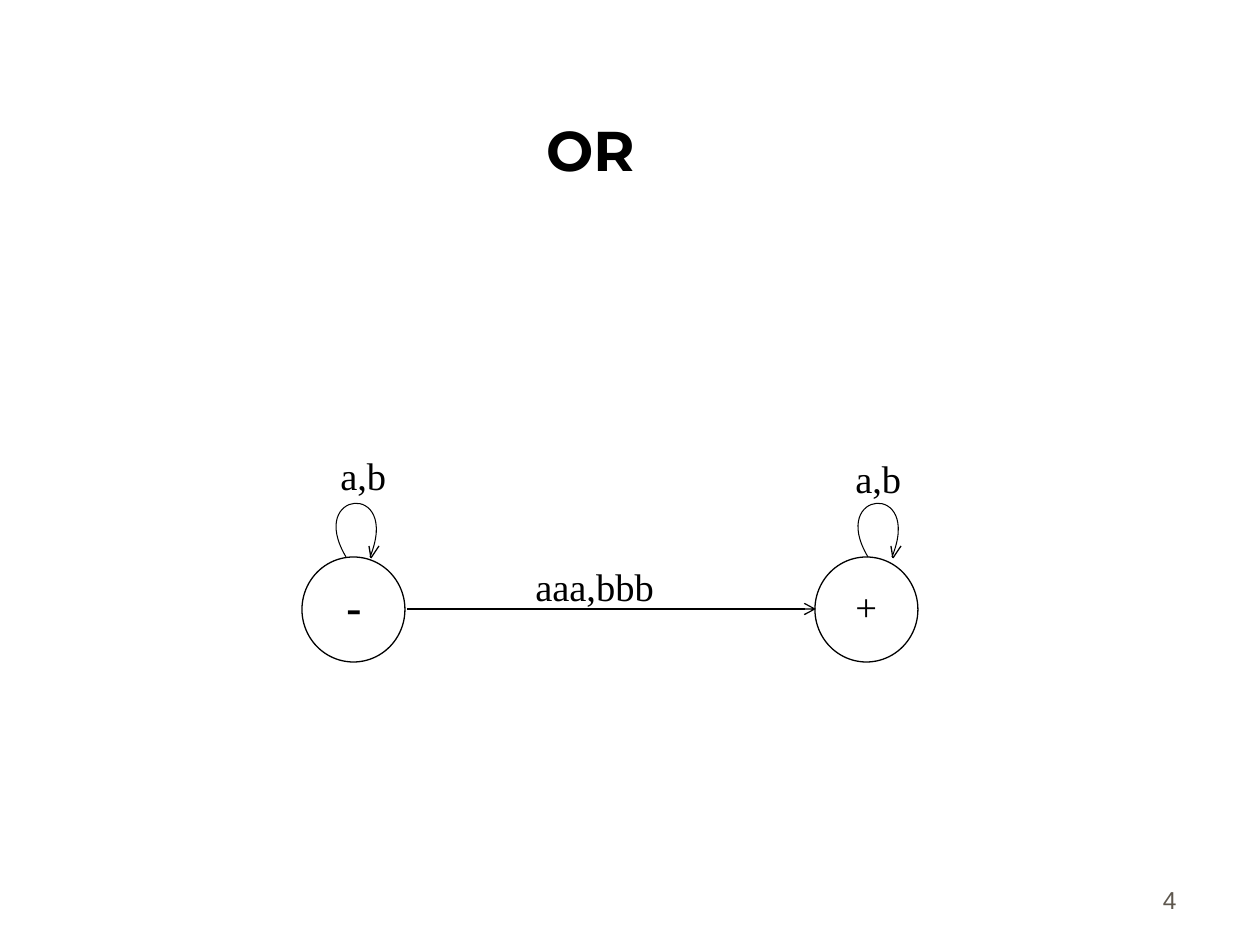
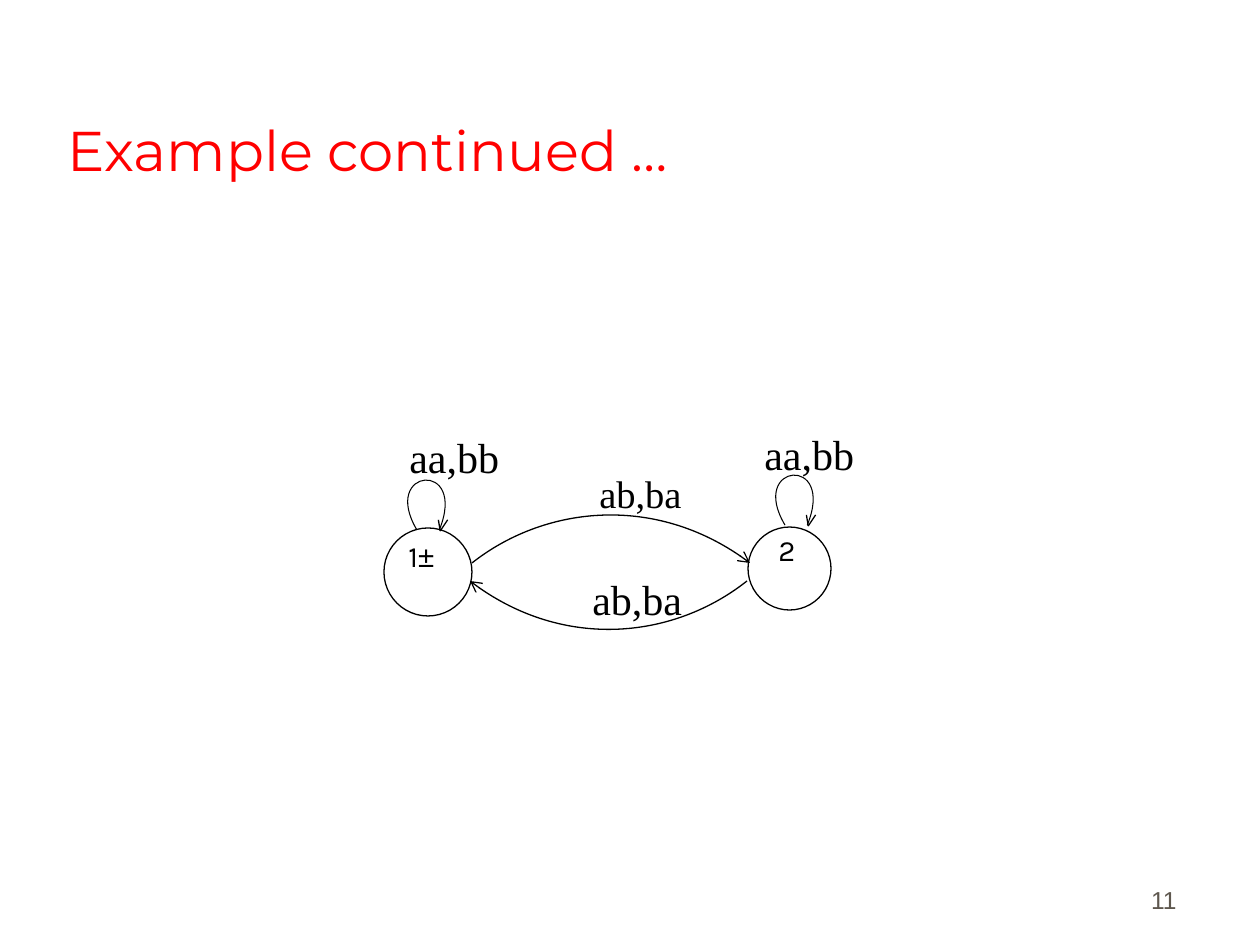
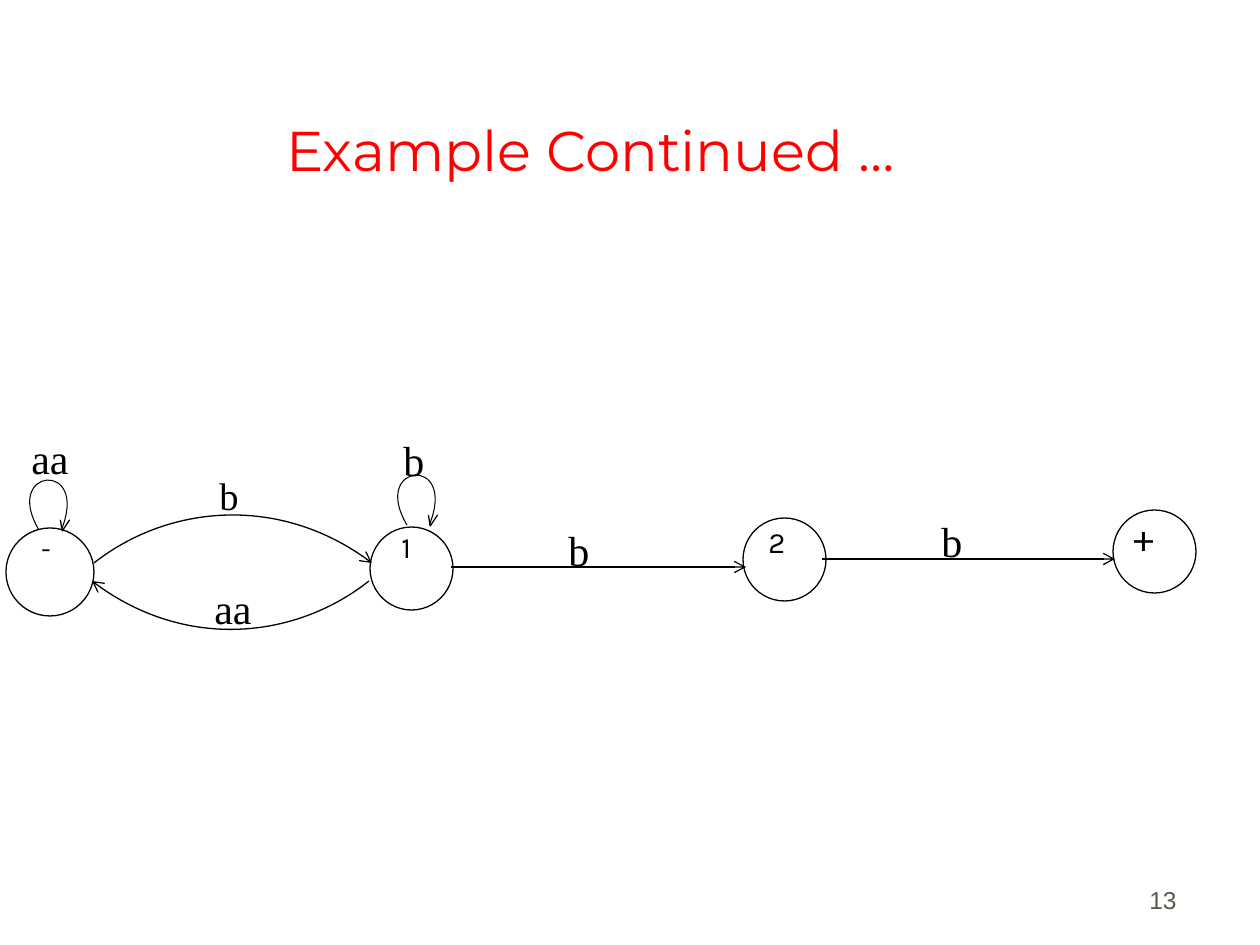
from lxml.etree import SubElement
from pptx import Presentation
from pptx.dml.color import RGBColor as Rgb
from pptx.enum.shapes import MSO_CONNECTOR as Link, MSO_SHAPE as Form
from pptx.enum.text import MSO_ANCHOR as Anchor, MSO_AUTO_SIZE as Fit, PP_ALIGN as Align
from pptx.oxml.ns import qn
from pptx.util import Emu, Pt

SCALE = 914400 / 126
COLORS = {"ink": "000000", "paper": "FFFFFF", "title": "FF0000", "page": "5E574E"}
SERIF, SANS, HEAD, PLAIN = "Times New Roman", "Karla", "Montserrat", "Arial"


def px(*sizes):
    return [Emu(round(size * SCALE)) for size in sizes]


def color(name):
    return Rgb.from_string(COLORS[name])


def add_run(para, text, size, font, tint="ink", bold=False):
    run = para.add_run()
    run.text = text
    run.font.size = Pt(size)
    run.font.name = font
    run.font.bold = bold
    run.font.color.rgb = color(tint)


def add_box(slide, x, y, wide, high):
    frame = slide.shapes.add_textbox(*px(x, y, wide, high)).text_frame
    frame.word_wrap = True
    return frame


def add_label(slide, text, x, y, size=24, wide=137, high=66, bold=False):
    """Text beside an edge or a loop."""
    para = add_box(slide, x, y, wide, high).paragraphs[0]
    add_run(para, text, size, SERIF, bold=bold)


def add_name(slide, runs, x, y, size=16.8, wide=52, high=50, space=0.8):
    """Name of a state, as pairs of text and font."""
    para = add_box(slide, x, y, wide, high).paragraphs[0]
    para.line_spacing = space
    for text, font in runs:
        add_run(para, text, size, font)


def set_line(shape, width=0.75, arrow=False):
    shape.line.color.rgb = color("ink")
    shape.line.width = Pt(width)
    if arrow:
        line = next(shape._element.iter(qn("a:ln")))
        SubElement(line, qn("a:tailEnd"), type="arrow")


def add_state(slide, x, y, wide, high=None):
    state = slide.shapes.add_shape(Form.OVAL, *px(x, y, wide, high or wide))
    state.shadow.inherit = False
    state.fill.solid()
    state.fill.fore_color.rgb = color("paper")
    set_line(state)


def add_edge(slide, x, y, end):
    """Level arrow from x to end."""
    edge = slide.shapes.add_connector(Link.STRAIGHT, *px(x, y, end, y))
    SubElement(edge._element.spPr, qn("a:effectLst"))
    set_line(edge, arrow=True)


def trace(shapes, points, width=0.75, arrow=False):
    """Open outline: two points make a line, four a Bezier curve."""
    start, *rest = [px(*point) for point in points]
    pen = shapes.build_freeform(*start)
    pen.add_line_segments(rest, close=False)
    shape = pen.convert_to_shape()
    shape.shadow.inherit = False
    shape.fill.background()
    set_line(shape, width, arrow)
    if len(rest) == 3:
        steps = list(shape._element.iter(qn("a:lnTo")))
        home = steps[0].getparent()
        curve = SubElement(home, qn("a:cubicBezTo"))
        for step in steps:
            curve.append(step[0])
            home.remove(step)


def add_loop(slide, x, y, size=0.93):
    shapes = slide.shapes.add_group_shape().shapes
    bend = [(0, 0), (-40, -67), (55, -76), (24, 0)]
    trace(shapes, [(x + dx * size, y + dy * size) for dx, dy in bend], 0.6)
    tip = (x + 25 * size, y + 1)
    for dx in (8, -2):
        trace(shapes, [tip, (tip[0] + dx * size, tip[1] - 12 * size)])


def add_pair(slide, x):
    """Two looped states joined by arcs both ways, from x."""
    add_state(slide, x, 528, 88)
    add_state(slide, x + 364, 527, 83)
    there = [(88, 563), (159, 507), (274, 493), (366, 563)]
    back = [(363, 581), (291, 638), (177, 651), (86, 581)]
    for arc in (there, back):
        trace(slide.shapes, [(x + dx, y) for dx, y in arc], arrow=True)
    add_loop(slide, x + 33, 530)
    add_loop(slide, x + 401, 525)


def add_slide(deck, title, page, tint="title", align=Align.CENTER, bold=False):
    slide = deck.slides.add_slide(deck.slide_layouts[5])
    head = slide.shapes.title
    head.left, head.top, head.width, head.height = px(55, 32, 1071, 157)
    frame = head.text_frame
    frame.auto_size = Fit.NONE
    frame.vertical_anchor = Anchor.BOTTOM
    frame.paragraphs[0].alignment = align
    add_run(frame.paragraphs[0], title, 32, HEAD, tint, bold)

    foot = add_box(slide, 927, 858, 262, 63)
    foot.vertical_anchor = Anchor.BOTTOM
    para = foot.paragraphs[0]
    para.alignment = Align.RIGHT
    para.space_before = Pt(8.8)
    add_run(para, page, 14, PLAIN, "page")
    return slide


def draw_or(deck):
    slide = add_slide(deck, "OR", "4", tint="ink", bold=True)
    for x in (302, 815):
        add_state(slide, x, 557, 103, 105)
    for x in (346, 868):
        add_loop(slide, x, 557, 1)
    add_edge(slide, 407, 609, 816)
    add_label(slide, "aaa,bbb", 523, 557, 22, 179, 84)
    for text, x, y in (("a,b", 328, 446), ("a,b", 843, 449), ("+", 843, 577)):
        add_label(slide, text, x, y, 22, 123, 84)
    add_label(slide, "-", 334, 572, 26, 123, 84, bold=True)


def draw_two(deck):
    slide = add_slide(deck, "Example continued …", "11", align=Align.LEFT)
    add_pair(slide, 384)
    add_label(slide, "aa,bb", 397, 425)
    add_label(slide, "aa,bb", 752, 422)
    add_label(slide, "ab,ba", 587, 464, 22, 127, 62)
    add_label(slide, "ab,ba", 580, 567)
    add_name(slide, [("1", SANS), ("±", PLAIN)], 396, 539, wide=97)
    add_name(slide, [("2", SANS)], 766, 533, wide=97)


def draw_four(deck):
    slide = add_slide(deck, "Example Continued …", "13")
    add_pair(slide, 6)
    add_state(slide, 743, 518, 83)
    add_state(slide, 1113, 510, 83)
    add_edge(slide, 451, 567, 746)
    add_edge(slide, 822, 559, 1115)
    add_label(slide, "b", 207, 466, 22, 127, 62)
    for text, x, y in (("aa", 19, 426), ("aa", 202, 576), ("b", 391, 428),
                       ("b", 556, 518), ("b", 929, 509)):
        add_label(slide, text, x, y)
    add_name(slide, [("-", SANS)], 29, 532, 15.2)
    add_name(slide, [("1", SANS)], 389, 530)
    add_name(slide, [("2", SANS)], 756, 525)
    add_name(slide, [("+", SANS)], 1121, 512, 22.2, 73, 60, 0.9)


def main():
    deck = Presentation()
    deck.slide_width, deck.slide_height = px(1260, 945)
    draw_or(deck)
    draw_two(deck)
    draw_four(deck)
    deck.save("out.pptx")


if __name__ == "__main__":
    main()
